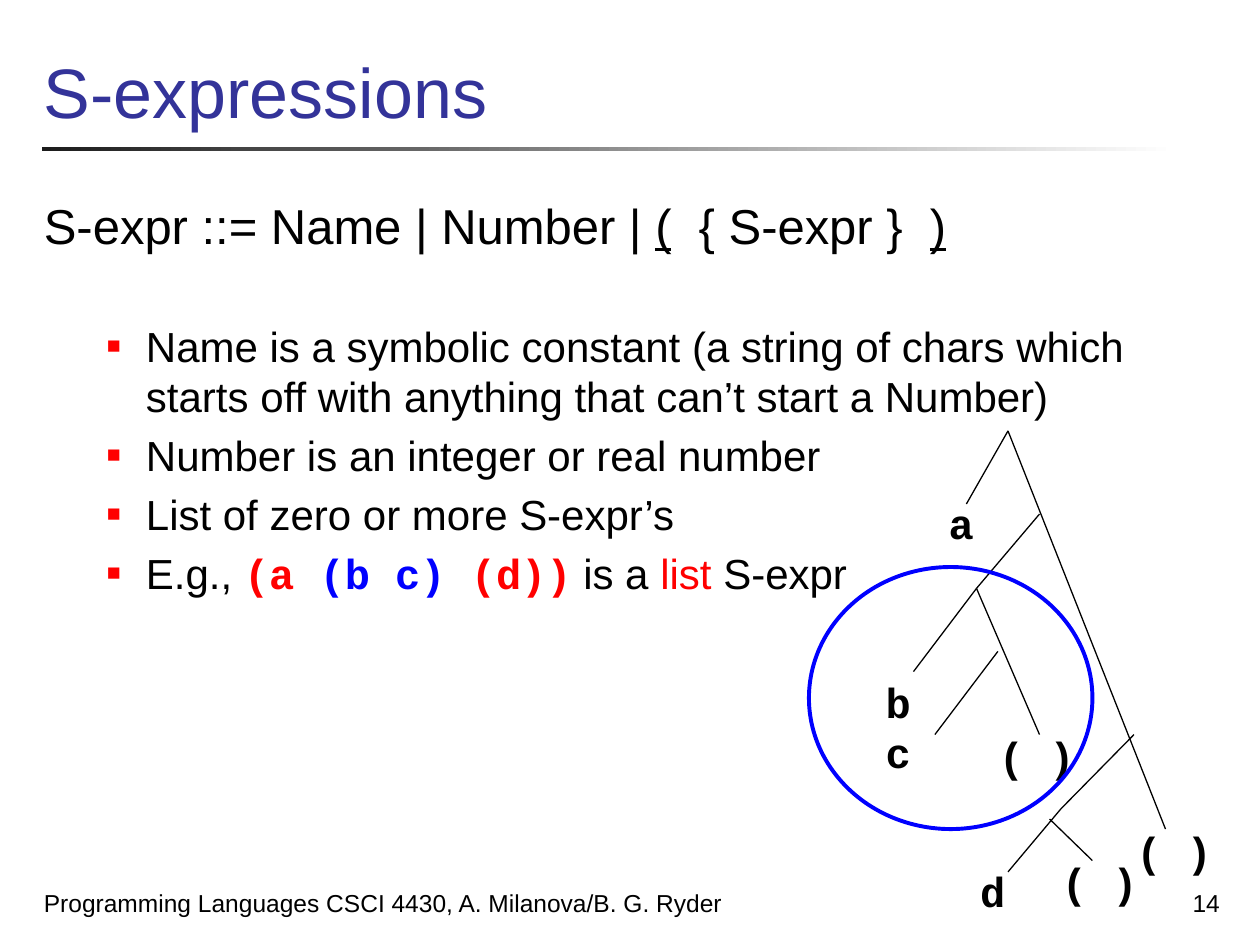
from dataclasses import dataclass

from lxml import etree
from pptx import Presentation
from pptx import util as u
from pptx.dml.color import RGBColor
from pptx.enum import shapes, text
from pptx.oxml import ns


@dataclass(frozen=True)
class Theme:
    sans: str = "Arial"
    mono: str = "Courier New"
    black: str = "000000"
    red: str = "FF0000"
    blue: str = "0000FF"
    heading: str = "333399"
    rule: tuple = ("1C1C1C", "FFFFFF")
    title: int = 40
    grammar: int = 28
    body: int = 24
    footer: int = 14


T = Theme()

# Content: every run is (text, style)
TITLE = ("S-expressions", dict(size=T.title, color=T.heading))
FOOTER = ("Programming Languages CSCI 4430, A. Milanova/B. G. Ryder", dict(size=T.footer))
PAGE = ("14", dict(size=T.footer))

TERMINAL = dict(size=T.grammar, underline=True)
GRAMMAR = [
    ("S-expr ::= Name | Number | ", dict(size=T.grammar)),
    ("(", TERMINAL),
    ("  { S-expr }  ", dict(size=T.grammar)),
    (")", TERMINAL),
]
CODE = dict(font=T.mono, bold=True)
OUTER = dict(CODE, color=T.red)
BULLETS = [
    [("Name is a symbolic constant (a string of chars which starts off "
      "with anything that can’t start a Number)", {})],
    [("Number is an integer or real number", {})],
    [("List of zero or more S-expr’s", {})],
    [("E.g., ", {}), ("(a ", OUTER), ("(b c) ", dict(CODE, color=T.blue)), ("(d))", OUTER),
     (" is a ", {}), ("list", dict(color=T.red)), (" S-expr", {})],
]

# Tree: branches as (from, to), labels as (left, top, width, lines)
ROOT, INNER, LAST = (8, 3.42), (7.75, 4.67), (8.42, 6.42)
BRANCHES = [
    (ROOT, (7.67, 4)), (ROOT, (9.25, 6.58)),
    ((8.25, 4.08), INNER), (INNER, (7.25, 5.33)), (INNER, (8.25, 5.83)),
    ((7.92, 5.17), (7.42, 5.83)),
    ((9, 5.83), LAST), (LAST, (8, 6.92)), ((8.33, 6.5), (8.67, 6.83)),
]
ATOM, EMPTY_LIST = 0.55, 0.92
LABELS = [
    (7.43, 3.9, ATOM, ["a"]),
    (6.93, 5.32, ATOM, ["b", "c"]),
    (7.83, 5.75, EMPTY_LIST, ["( )"]),
    (7.68, 6.82, ATOM, ["d"]),
    (8.33, 6.75, EMPTY_LIST, ["( )"]),
    (8.92, 6.5, EMPTY_LIST, ["( )"]),
]
SUBLIST = (6.42, 4.5, 2.25, 2.08)

prs = Presentation()
prs.slide_width, prs.slide_height = u.Inches(10), u.Inches(7.5)
slide = prs.slides.add_slide(prs.slide_layouts[6])


def inches(values):
    return [u.Inches(v) for v in values]


def add_runs(para, runs):
    for wording, style in runs:
        run = para.add_run()
        run.text = wording
        font = run.font
        font.name = style.get("font", T.sans)
        font.size = u.Pt(style.get("size", T.body))
        font.bold = style.get("bold", False)
        font.underline = style.get("underline", False)
        font.color.rgb = RGBColor.from_string(style.get("color", T.black))


def add_text(box, paragraphs, anchor=text.MSO_ANCHOR.TOP, align=text.PP_ALIGN.LEFT):
    frame = slide.shapes.add_textbox(*inches(box)).text_frame
    frame.word_wrap = True
    frame.vertical_anchor = anchor
    for i, runs in enumerate(paragraphs):
        para = frame.add_paragraph() if i else frame.paragraphs[0]
        para.alignment = align
        add_runs(para, runs)
    return frame


def add_bullet(para):
    props = para._p.get_or_add_pPr()
    props.set("marL", str(u.Inches(0.81)))
    props.set("indent", str(u.Inches(-0.31)))
    color = etree.SubElement(props, ns.qn("a:buClr"))
    etree.SubElement(color, ns.qn("a:srgbClr"), val=T.red)
    etree.SubElement(props, ns.qn("a:buSzPct"), val="55000")
    etree.SubElement(props, ns.qn("a:buFont"), typeface=T.sans)
    etree.SubElement(props, ns.qn("a:buChar"), char="■")


# Rule under the title
rule = slide.shapes.add_shape(shapes.MSO_SHAPE.RECTANGLE, *inches((0.33, 1.17, 9, 0.03)))
rule.shadow.inherit = False
rule.line.fill.background()
rule.fill.gradient()
rule.fill.gradient_angle = 0
for stop, color in zip(rule.fill.gradient_stops, T.rule):
    stop.color.rgb = RGBColor.from_string(color)

# Title and footer
BOTTOM = text.MSO_ANCHOR.BOTTOM
add_text((0.25, 6.83, 5.75, 0.5), [[FOOTER]], BOTTOM)
add_text((7.7, 6.83, 2.08, 0.5), [[PAGE]], BOTTOM, text.PP_ALIGN.RIGHT)
add_text((0.25, 0, 9.52, 1.1), [[TITLE]], BOTTOM)

# Grammar rule and its notes
body = add_text((0.25, 1.5, 9.42, 5.17), [GRAMMAR] + BULLETS)
grammar, first, *rest = body.paragraphs
grammar.space_before = u.Pt(0.2 * T.grammar)
first.space_before = u.Pt(38)
for para in rest:
    para.space_before = u.Pt(0.2 * T.body)
for para in (first, *rest):
    add_bullet(para)

# Expression tree
for start, end in BRANCHES:
    branch = slide.shapes.add_connector(
        shapes.MSO_CONNECTOR.STRAIGHT, *inches(start + end))
    branch.line.color.rgb = RGBColor.from_string(T.black)
    branch.line.width = u.Pt(0.75)
    etree.SubElement(branch._element.spPr, ns.qn("a:effectLst"))

for left, top, width, lines in LABELS:
    height = 0.11 + 0.4 * len(lines)
    add_text((left, top, width, height), [[(line, CODE)] for line in lines])

# Circle around the sublist (b c)
sublist = slide.shapes.add_shape(shapes.MSO_SHAPE.OVAL, *inches(SUBLIST))
sublist.shadow.inherit = False
sublist.fill.background()
sublist.line.color.rgb = RGBColor.from_string(T.blue)
sublist.line.width = u.Pt(2.25)

prs.save("out.pptx")
